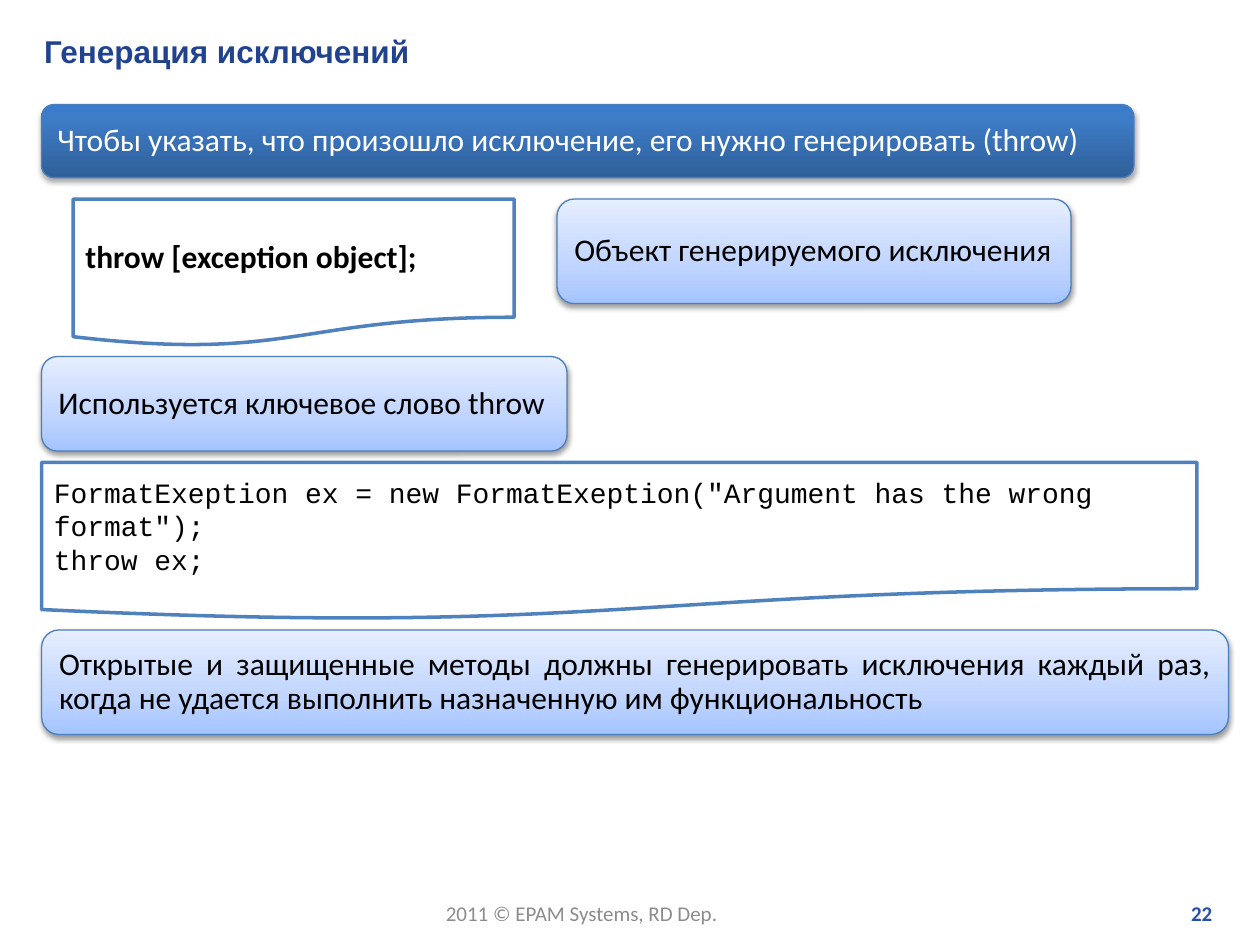
from lxml.etree import SubElement
from pptx import Presentation
from pptx.dml.color import RGBColor
from pptx.enum.shapes import MSO_SHAPE as Shape
from pptx.enum.text import MSO_ANCHOR as Anchor, MSO_AUTO_SIZE as AutoSize, PP_ALIGN as Align
from pptx.oxml.ns import qn
from pptx.util import Inches, Pt

COLORS = {
    "title": "21438F", "number": "2750AB", "footer": "8C8C8C",
    "black": "000000", "white": "FFFFFF",
    "code_line": "4F81BD", "box_line": "4B7EBC",
}
# Gradient stops run from the bottom edge (0) to the top edge (100)
DARK = [(0, "2F5F99"), (80, "3D7CC7"), (100, "3A7CCB")]
LIGHT = [(0, "A4C4FF"), (35, "BFD4FF"), (100, "E6EEFF")]
LEFT = 0.33


def rgb(name):
    return RGBColor.from_string(COLORS[name])


def write(frame, lines, color, size=18, font="Calibri", bold=False,
          align=Align.LEFT, spacing=None):
    for index, line in enumerate(lines):
        para = frame.paragraphs[0] if index == 0 else frame.add_paragraph()
        para.alignment = align
        if spacing:
            para.line_spacing = spacing
        span = para.add_run()
        span.text = line
        span.font.name = font
        span.font.size = Pt(size)
        span.font.bold = bold
        span.font.color.rgb = rgb(color)


def add_color(parent, value, alpha=None):
    color = SubElement(parent, qn("a:srgbClr"), val=value)
    if alpha is not None:
        SubElement(color, qn("a:alpha"), val=str(alpha * 1000))


def set_gradient(shape, stops):
    shape.fill.gradient()
    shape.fill.gradient_angle = 90
    stop_list = shape._element.spPr.find(qn("a:gradFill")).find(qn("a:gsLst"))
    for old_stop in list(stop_list):
        stop_list.remove(old_stop)
    for position, value in stops:
        add_color(SubElement(stop_list, qn("a:gs"), pos=str(position * 1000)), value)


def set_shadow(shape, alpha, distance):
    effects = shape._element.spPr.find(qn("a:effectLst"))
    shadow = SubElement(effects, qn("a:outerShdw"), blurRad=str(Pt(3.1)),
                        dist=str(Pt(distance)), dir="5400000", rotWithShape="0")
    add_color(shadow, COLORS["black"], alpha)


def add_shape(page, kind, place, line, width):
    shape = page.shapes.add_shape(kind, *map(Inches, place))
    shape.shadow.inherit = False
    shape.line.color.rgb = rgb(line)
    shape.line.width = Pt(width)
    shape.text_frame.word_wrap = True
    shape.text_frame.vertical_anchor = Anchor.MIDDLE
    return shape


def add_statement(page, place, text, stops=LIGHT, color="black", align=Align.LEFT,
                  shadow=(38, 1.6)):
    box = add_shape(page, Shape.ROUNDED_RECTANGLE, place, "box_line", 0.75)
    set_gradient(box, stops)
    set_shadow(box, *shadow)
    write(box.text_frame, [text], color, align=align, spacing=0.9)


def add_code(page, place, lines, **style):
    sheet = add_shape(page, Shape.FLOWCHART_DOCUMENT, place, "code_line", 2)
    sheet.fill.solid()
    sheet.fill.fore_color.rgb = rgb("white")
    write(sheet.text_frame, lines, "black", **style)


def add_label(page, place, text, color, wrap=True, **style):
    box = page.shapes.add_textbox(*map(Inches, place))
    box.text_frame.word_wrap = wrap
    box.text_frame.auto_size = AutoSize.SHAPE_TO_FIT_TEXT
    write(box.text_frame, [text], color, size=12, **style)


def add_title(page, text):
    title = page.shapes.title
    title.left, title.top, title.width, title.height = map(Inches, (0.25, 0.2, 9.54, 0.4))
    title.text_frame.auto_size = AutoSize.NONE
    title.text_frame.vertical_anchor = Anchor.MIDDLE
    write(title.text_frame, [text], "title", font="Arial", bold=True)


def main():
    deck = Presentation()
    deck.slide_width, deck.slide_height = Inches(10), Inches(7.5)
    page = deck.slides.add_slide(deck.slide_layouts[5])

    # Footer and title
    add_label(page, (3.44, 7.1, 2.39, 0.3), "2011 © EPAM Systems, RD Dep.", "footer", wrap=False)
    add_label(page, (7.6, 7.1, 2.12, 0.3), "22", "number", bold=True, align=Align.RIGHT)
    add_title(page, "Генерация исключений")

    # Syntax of throw
    add_code(page, (0.58, 1.58, 3.5, 1.17), ["throw [exception object];"],
             bold=True, spacing=0.9)
    add_statement(page, (LEFT, 0.83, 8.67, 0.58),
                  "Чтобы указать, что произошло исключение, его нужно генерировать (throw)",
                  DARK, "white", shadow=(35, 1.8))
    add_statement(page, (LEFT, 2.83, 4.17, 0.75), "Используется ключевое слово throw")
    add_statement(page, (4.42, 1.58, 4.08, 0.83), "Объект генерируемого исключения")

    # Example and rule
    add_code(page, (LEFT, 3.67, 9.17, 1.25),
             ['FormatExeption ex = new FormatExeption("Argument has the wrong format");',
              "throw ex;"], size=16, font="Courier New")
    add_statement(page, (LEFT, 5, 9.42, 0.83),
                  "Открытые и защищенные методы должны генерировать исключения каждый раз, "
                  "когда не удается выполнить назначенную им функциональность",
                  align=Align.JUSTIFY)

    deck.save("out.pptx")


if __name__ == "__main__":
    main()
